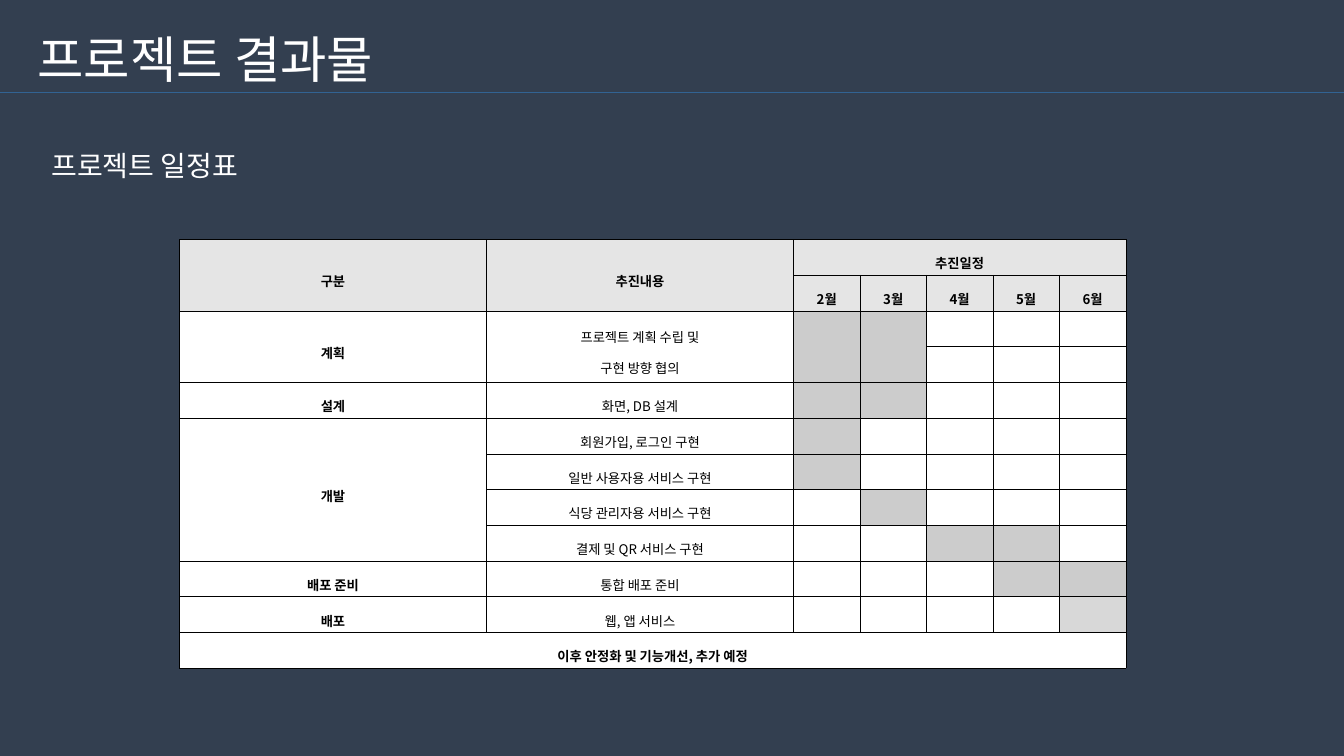
from dataclasses import dataclass

from lxml import etree
from pptx import Presentation
from pptx.dml.color import RGBColor
from pptx.enum.shapes import MSO_CONNECTOR
from pptx.enum.text import MSO_ANCHOR, PP_ALIGN
from pptx.oxml.ns import qn
from pptx.util import Pt

STRAIGHT = MSO_CONNECTOR.STRAIGHT
MIDDLE = MSO_ANCHOR.MIDDLE
LEFT, CENTER = PP_ALIGN.LEFT, PP_ALIGN.CENTER

FONT = "Noto Sans CJK KR"
COLORS = {
    "back": "333F50", "rule": "326393", "white": "FFFFFF", "black": "000000",
    "head": "E5E5E5", "busy": "CCCCCC", "last": "D8D8D8",
}
WIDTHS = [219.3] * 2 + [47.5] * 5
ROWS, ROW_H = 12, 25.54
FIRST = 2  # column of the first month


@dataclass
class Entry:
    row: int
    col: int
    text: str = ""
    bold: bool = True
    down: int = 1
    across: int = 1


ENTRIES = [
    Entry(0, 0, "구분", down=2),
    Entry(0, 1, "추진내용", down=2),
    Entry(0, 2, "추진일정", across=5),
    *[Entry(1, month, f"{month}월") for month in range(2, 7)],
    Entry(2, 0, "계획", down=2),
    Entry(2, 1, "프로젝트 계획 수립 및\n구현 방향 협의", False, down=2),
    Entry(2, 2, down=2),
    Entry(2, 3, down=2),
    Entry(4, 0, "설계"),
    Entry(4, 1, "화면, DB 설계", False),
    Entry(5, 0, "개발", down=4),
    Entry(5, 1, "회원가입, 로그인 구현", False),
    Entry(6, 1, "일반 사용자용 서비스 구현", False),
    Entry(7, 1, "식당 관리자용 서비스 구현", False),
    Entry(8, 1, "결제 및 QR 서비스 구현", False),
    Entry(9, 0, "배포 준비"),
    Entry(9, 1, "통합 배포 준비", False),
    Entry(10, 0, "배포"),
    Entry(10, 1, "웹, 앱 서비스", False),
    Entry(11, 0, "이후 안정화 및 기능개선, 추가 예정", across=7),
]
# Months in work, by table row
BUSY = {2: (2, 3), 3: (2, 3), 4: (2, 3), 5: (2,), 6: (2,), 7: (3,),
        8: (4, 5), 9: (5, 6)}


def color(name: str) -> RGBColor:
    return RGBColor.from_string(COLORS[name])


def add_run(par, text: str, size: float, ink: str, bold: bool = False) -> None:
    run = par.add_run()
    run.text = text
    font = run.font
    font.name, font.size, font.bold = FONT, Pt(size), bold
    font.color.rgb = color(ink)
    east = etree.SubElement(run._r.get_or_add_rPr(), qn("a:ea"))
    east.set("typeface", FONT)


def set_line(shape, text: str, box: tuple, size: float, space: float) -> None:
    shape.left, shape.top, shape.width, shape.height = map(Pt, box)
    frame = shape.text_frame
    frame.word_wrap = True
    frame.vertical_anchor = MIDDLE
    par = frame.paragraphs[0]
    par.alignment, par.line_spacing = LEFT, space
    add_run(par, text, size, "white")


def set_edges(cell) -> None:
    props = cell._tc.get_or_add_tcPr()
    for side in ("lnL", "lnR", "lnT", "lnB"):
        edge = etree.SubElement(props, qn(f"a:{side}"), w=str(Pt(0.28)))
        fill = etree.SubElement(edge, qn("a:solidFill"))
        etree.SubElement(fill, qn("a:srgbClr"), val=COLORS["black"])


def tone(row: int, col: int) -> str:
    if row < 2:
        return "head"
    if (row, col) == (10, 6):
        return "last"
    return "busy" if col in BUSY.get(row, ()) else "white"


def add_plan(slide) -> None:
    frame = slide.shapes.add_table(
        ROWS, len(WIDTHS), Pt(128.2), Pt(171),
        Pt(sum(WIDTHS)), Pt(ROWS * ROW_H))
    table = frame.table
    table.first_row = table.horz_banding = False
    for col, width in enumerate(WIDTHS):
        table.columns[col].width = Pt(width)

    # Grid, fills and margins
    for row in range(ROWS):
        table.rows[row].height = Pt(ROW_H)
        for col in range(len(WIDTHS)):
            cell = table.cell(row, col)
            set_edges(cell)
            cell.fill.solid()
            cell.fill.fore_color.rgb = color(tone(row, col))
            cell.margin_left = cell.margin_right = Pt(5.1)
            cell.margin_top = cell.margin_bottom = Pt(1.4)
            cell.vertical_anchor = MIDDLE
            cell.text_frame.paragraphs[0].font.size = Pt(9.5)

    # Merged cells and wording
    for item in ENTRIES:
        cell = table.cell(item.row, item.col)
        if item.down > 1 or item.across > 1:
            cell.merge(table.cell(item.row + item.down - 1,
                                  item.col + item.across - 1))
        if not item.text:
            continue
        body = cell.text_frame
        for num, text in enumerate(item.text.split("\n")):
            par = body.add_paragraph() if num else body.paragraphs[0]
            par.alignment, par.line_spacing = CENTER, 1.6
            add_run(par, text, 9.5, "black", item.bold)


def main() -> None:
    deck = Presentation()
    deck.slide_width, deck.slide_height = Pt(960), Pt(540)
    slide = deck.slides.add_slide(deck.slide_layouts[5])
    slide.background.fill.solid()
    slide.background.fill.fore_color.rgb = color("back")

    # Title and rule
    set_line(slide.shapes.title, "프로젝트 결과물", (19.5, 16, 277, 51), 36, 1)
    rule = slide.shapes.add_connector(STRAIGHT, 0, Pt(66), Pt(960), Pt(66))
    rule.line.color.rgb = color("rule")
    rule.line.width = Pt(0.5)
    etree.SubElement(rule._element.spPr, qn("a:effectLst"))

    # Heading and timetable
    box = (29.5, 81.5, 762.5, 49)
    head = slide.shapes.add_textbox(*map(Pt, box))
    set_line(head, "프로젝트 일정표", box, 20, 2)
    add_plan(slide)
    deck.save("out.pptx")


if __name__ == "__main__":
    main()
